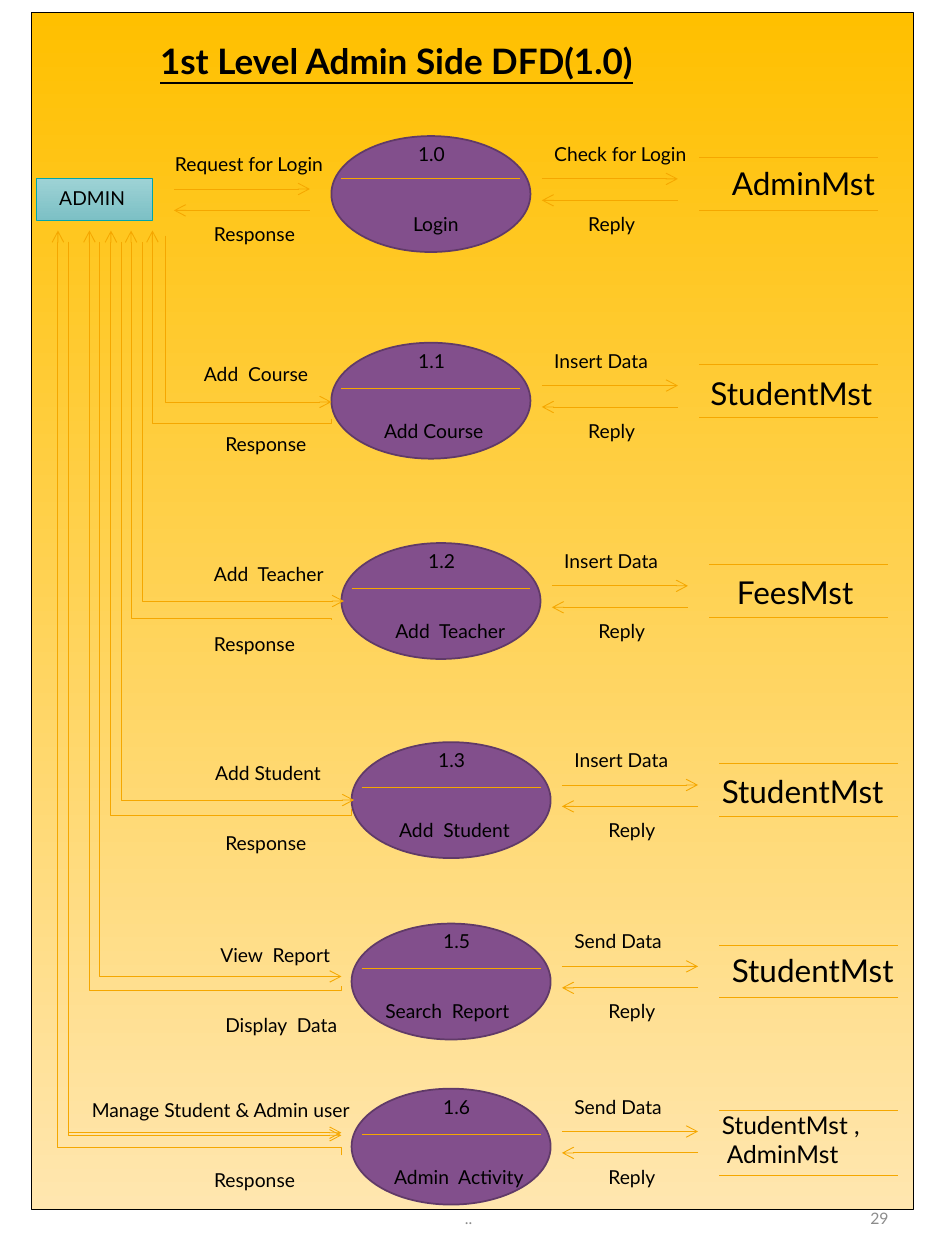
from dataclasses import dataclass

from lxml import etree
from pptx import Presentation
from pptx.dml.color import RGBColor
from pptx.enum.shapes import MSO_CONNECTOR, MSO_SHAPE
from pptx.enum.text import MSO_ANCHOR, MSO_AUTO_SIZE, PP_ALIGN
from pptx.oxml.ns import qn
from pptx.util import Inches, Pt

STRAIGHT, ELBOW = MSO_CONNECTOR.STRAIGHT, MSO_CONNECTOR.ELBOW
OVAL, RECTANGLE = MSO_SHAPE.OVAL, MSO_SHAPE.RECTANGLE
TOP, MIDDLE = MSO_ANCHOR.TOP, MSO_ANCHOR.MIDDLE
LEFT, CENTER, RIGHT = PP_ALIGN.LEFT, PP_ALIGN.CENTER, PP_ALIGN.RIGHT
FONT = "Lato"
BLACK, GREY, ORANGE = "000000", "8C8C8C", "F5A700"
PURPLE, DARK_PURPLE, TEAL = "824F8C", "603A68", "00A5AB"
TWO_LINES = 26.8
ADMIN_FOOT = 1.83


@dataclass
class Process:
    """One row of the diagram; captions are (left, top, width, lines)."""
    left: float
    top: float
    caption: tuple
    flow: tuple
    check: str
    store: tuple
    divider: float = 0.36
    store_height: float = 0.42
    store_size: int = 18


PROCESSES = [
    Process(2.63, 1.08, (2.96, 1, [("1.0", 0.26), ("Login", 0.22)]),
            (1.29, 1.16, 2, [("Request for Login", 0), ("Response", 0.31)]), "Check for Login",
            (5.71, 1.25, [("AdminMst", 0)]), divider=0.34),
    Process(2.63, 2.72, (2.88, 1.42, [("1.1", 0.34), ("Add Course", 0.07)]),
            (1.38, 2.83, 2, [("Add  Course", 0.14), ("Response", 0.31)]), "Insert Data",
            (5.54, 2.92, [("StudentMst", 0)])),
    Process(2.71, 4.31, (3.04, 1.33, [("1.2", 0.26), ("Add  Teacher", 0)]),
            (1.29, 4.41, 2, [("Add  Teacher", 0.31), ("Response", 0.31)]), "Insert Data",
            (5.63, 4.5, [("FeesMst", 0.12)])),
    Process(2.79, 5.89, (2.96, 1.83, [("1.3", 0.42), ("Add  Student", 0.11)]),
            (1.38, 5.99, 2, [("Add Student", 0.23), ("Response", 0.31)]), "Insert Data",
            (5.63, 6.08, [("StudentMst", 0)])),
    Process(2.79, 7.33, (2.96, 1.83, [("1.5", 0.46), ("Search  Report", 0)]),
            (1.38, 7.44, 2, [("View  Report", 0.27), ("Display  Data", 0.31)]), "Send Data",
            (5.71, 7.5, [("StudentMst", 0)])),
    Process(2.79, 8.64, (2.96, 1.83, [("1.6", 0.46), ("Admin  Activity", 0.07)]),
            (0.63, 8.67, 2.75, [("Manage Student & Admin user", 0), ("Response", 0.97)]),
            "Send Data", (5.63, 8.76, [("StudentMst ,", 0), ("AdminMst", 0.04)]),
            store_height=0.52, store_size=14),
]
REQUEST_LANES = [
    (1.31, 1.87, 2.63, 3.19), (1.13, 1.92, 2.73, 4.77), (0.96, 1.92, 2.81, 6.35),
    (0.79, 1.92, 2.71, 7.75), (0.54, 1.92, 2.71, 8.99), (0.54, 1.92, 2.71, 9.01),
]
RESPONSE_LANES = [
    (1.21, 2.63, 3.33, 0.03), (1.04, 2.63, 4.92, -0.01), (0.88, 2.79, 6.42, 0.05),
    (0.71, 2.71, 7.83, 0.03), (0.46, 2.71, 9.17, -0.06),
]


def color(value):
    """Turn a hex string into a colour."""
    return RGBColor.from_string(value)


def style_run(run, size, ink=BLACK):
    """Set the font of a run."""
    run.font.name, run.font.size = FONT, Pt(size)
    run.font.color.rgb = color(ink)


def add_text(slide, box, lines, size=11, gap=0.0, ink=BLACK, align=LEFT, anchor=TOP):
    """Add a text box of (wording, indent) lines with a gap between them."""
    frame = slide.shapes.add_textbox(*map(Inches, box)).text_frame
    frame.word_wrap, frame.vertical_anchor = True, anchor
    for number, (wording, indent) in enumerate(lines):
        paragraph = frame.add_paragraph() if number else frame.paragraphs[0]
        paragraph.alignment = align
        if indent:
            properties = paragraph._p.get_or_add_pPr()
            properties.set("marL", str(Inches(indent)))
            properties.set("indent", "0")
        if number and gap:
            paragraph.space_before = Pt(gap)
        run = paragraph.add_run()
        run.text = wording
        style_run(run, size, ink)


def add_block(slide, kind, box, fills, line, width):
    """Add a preset shape with a solid fill or a downward gradient."""
    block = slide.shapes.add_shape(kind, *map(Inches, box))
    block.shadow.inherit = False
    if len(fills) == 1:
        block.fill.solid()
        block.fill.fore_color.rgb = color(fills[0])
    else:
        block.fill.gradient()
        block.fill.gradient_angle = 270
        for stop, fill in zip(block.fill.gradient_stops, fills):
            stop.color.rgb = color(fill)
    block.line.color.rgb = color(line)
    block.line.width = Pt(width)
    return block


def add_line(slide, start, end, arrow=False, kind=STRAIGHT):
    """Add a thin orange connector, with an arrowhead if asked."""
    line = slide.shapes.add_connector(kind, *map(Inches, (*start, *end)))
    line.line.color.rgb = color(ORANGE)
    line.line.width = Pt(0.5)
    if arrow:
        outline = line.element.find(".//" + qn("a:ln"))
        etree.SubElement(outline, qn("a:tailEnd"), type="arrow")
    etree.SubElement(line.element.spPr, qn("a:effectLst"))
    return line


def add_lane(slide, left, top, right, bottom, flip, bend):
    """Add a bent arrow that leaves and arrives vertically, turned by 270 degrees."""
    width, height = right - left, bottom - top
    middle_x, middle_y = (left + right) / 2, (top + bottom) / 2
    start = middle_x - height / 2, middle_y - width / 2
    end = middle_x + height / 2, middle_y + width / 2
    lane = add_line(slide, start, end, True, ELBOW)
    transform = lane.element.find(".//" + qn("a:xfrm"))
    transform.set("rot", "16200000")
    transform.set(flip, "1")
    guides = lane.element.find(".//" + qn("a:prstGeom")).get_or_add_avLst()
    etree.SubElement(guides, qn("a:gd"), name="adj1", fmla=f"val {round(bend * 100000)}")


def add_exchange(slide, left, right, top):
    """Add an arrow to the right with its answering arrow beneath."""
    add_line(slide, (left, top), (right, top), True)
    add_line(slide, (right, top + 0.17), (left, top + 0.17), True)


def add_process(slide, process):
    """Draw one process with its captions, flows and data store."""
    left, top = process.left, process.top
    add_block(slide, OVAL, (left, top, 1.58, 0.92), [PURPLE], DARK_PURPLE, 1)
    divider = top + process.divider
    add_line(slide, (left + 0.08, divider), (left + 1.5, divider))
    caption_left, caption_width, caption = process.caption
    add_text(slide, (caption_left, top, caption_width, 0.84), caption, gap=TWO_LINES)
    flow_left, flow_top, flow_width, flow = process.flow
    add_text(slide, (flow_left, flow_top, flow_width, 0.84), flow, gap=TWO_LINES)

    check_left = left + 1.67
    add_text(slide, (check_left, top, 2, 1.03),
             [(process.check, 0), ("Reply", 0.27)], gap=TWO_LINES)
    add_exchange(slide, check_left, check_left + 1.08, top + 0.34)

    store_left, store_top, store = process.store
    for edge in (top + 0.17, top + 0.17 + process.store_height):
        add_line(slide, (left + 2.92, edge), (left + 4.34, edge))
    add_text(slide, (store_left, store_top, 1.65, 0.4), store, process.store_size)


def add_admin(slide):
    """Draw the admin entity and its login exchange."""
    admin = add_block(slide, RECTANGLE, (0.29, 1.42, 0.92, 0.33), ["9DD2D5", "7CC0C5"], TEAL, 0.5)
    frame = admin.text_frame
    frame.margin_left, frame.margin_right = Inches(0.18), 0
    frame.margin_top, frame.margin_bottom = 0, Inches(0.03)
    frame.vertical_anchor = MIDDLE
    frame.paragraphs[0].alignment = LEFT
    run = frame.paragraphs[0].add_run()
    run.text = "ADMIN"
    style_run(run, 11)
    add_exchange(slide, 1.38, 2.46, 1.5)


def add_title(slide, wording):
    """Place the title above the panel."""
    title = slide.shapes.title
    title.left, title.top, title.width, title.height = map(Inches, (1.17, 0.26, 5.67, 0.44))
    frame = title.text_frame
    frame.auto_size, frame.vertical_anchor = MSO_AUTO_SIZE.NONE, TOP
    frame.paragraphs[0].alignment = LEFT
    run = frame.paragraphs[0].add_run()
    run.text = wording
    style_run(run, 20)
    run.font.bold = run.font.underline = True
    title.element.getparent().append(title.element)


def main():
    """Build the data flow diagram."""
    deck = Presentation()
    deck.slide_width, deck.slide_height = Inches(7.5), Inches(10)
    slide = deck.slides.add_slide(deck.slide_layouts[5])
    add_block(slide, RECTANGLE, (0.25, 0.1, 7, 9.5), ["FFC000", "FFE6AF"], BLACK, 1)
    add_text(slide, (2.52, 9.5, 2.4, 0.33), [("..", 0)], 9, 0, GREY, CENTER, MIDDLE)
    add_text(slide, (6.67, 9.5, 0.48, 0.33), [("29", 0)], 9, 0, GREY, RIGHT, MIDDLE)
    add_admin(slide)
    for process in PROCESSES:
        add_process(slide, process)
    for lane in REQUEST_LANES:
        add_lane(slide, *lane, "flipH", 1)
    for left, right, bottom, drop in RESPONSE_LANES:
        add_lane(slide, left, ADMIN_FOOT, right, bottom, "flipV", -drop / (bottom - ADMIN_FOOT))
    add_title(slide, "1st Level Admin Side DFD(1.0)")
    deck.save("out.pptx")


if __name__ == "__main__":
    main()
